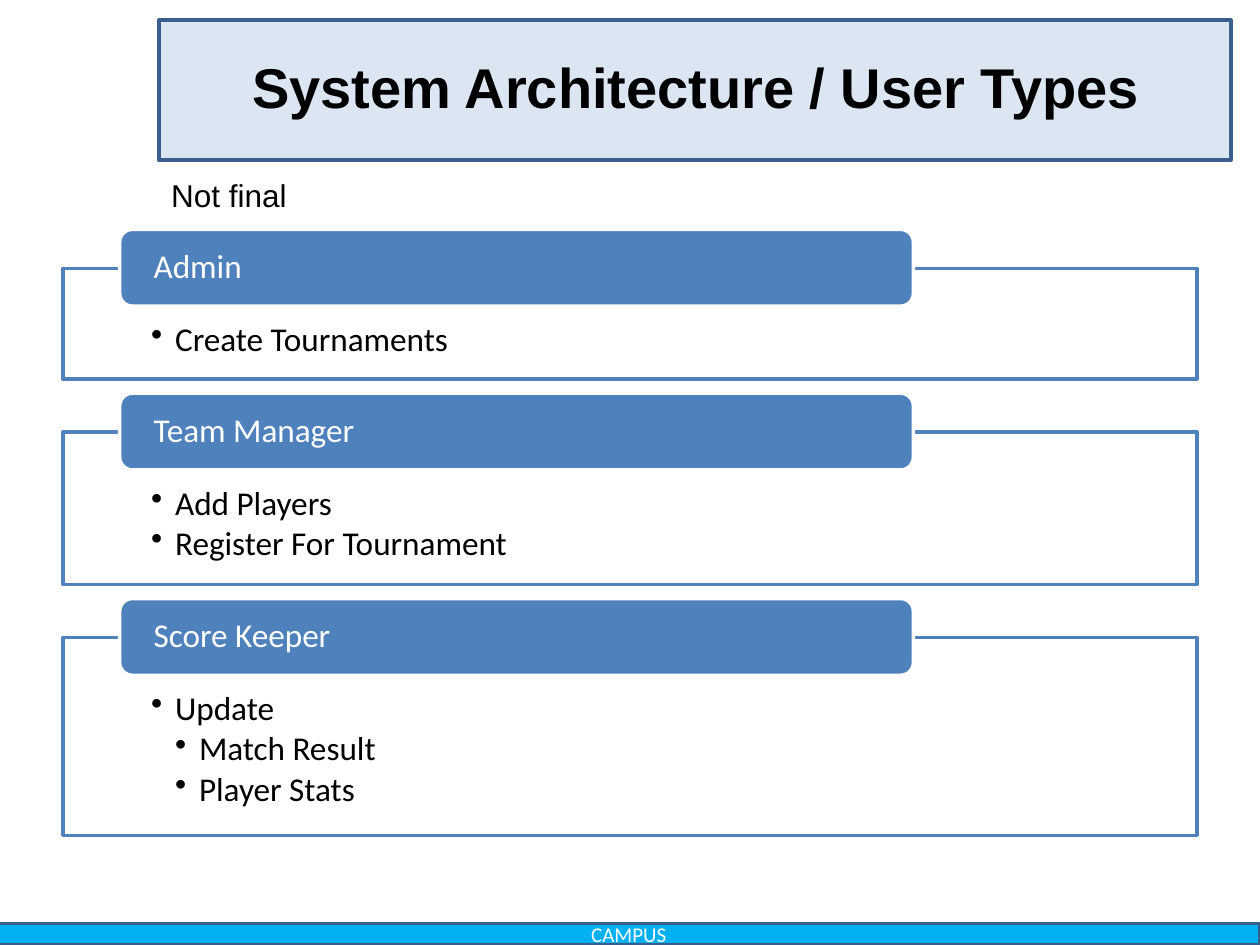
from pptx import Presentation
from pptx.dml.color import RGBColor
from pptx.enum.shapes import MSO_SHAPE as Preset
from pptx.enum.text import MSO_ANCHOR as Anchor, PP_ALIGN as Align
from pptx.oxml.ns import qn
from pptx.util import Inches, Pt
from lxml.etree import SubElement

WHITE = RGBColor(0xFF, 0xFF, 0xFF)
BLACK = RGBColor(0, 0, 0)
BLUE = RGBColor(0x4F, 0x81, 0xBD)
DARK_BLUE = RGBColor(0x3A, 0x5F, 0x8C)
PALE_BLUE = RGBColor(0xDC, 0xE6, 0xF2)
CYAN = RGBColor(0x00, 0xB0, 0xF0)

prs = Presentation()
prs.slide_width, prs.slide_height = Inches(10), Inches(7.5)
slide = prs.slides.add_slide(prs.slide_layouts[5])  # title only


def add_panel(preset, left, top, width, height, fill, line, insets=(0.1, 0.05), anchor=Anchor.MIDDLE):
    panel = slide.shapes.add_shape(preset, *map(Inches, (left, top, width, height)))
    panel.shadow.inherit = False
    panel.fill.solid()
    panel.fill.fore_color.rgb = fill
    panel.line.color.rgb = line
    panel.line.width = Pt(2)
    frame = panel.text_frame
    frame.word_wrap = True
    frame.vertical_anchor = anchor
    frame.margin_left = frame.margin_right = Inches(insets[0])
    frame.margin_top = Inches(insets[1])
    frame.margin_bottom = 0
    return panel


def write(paragraph, text, size, color, face="Calibri", align=Align.LEFT):
    paragraph.text = text
    paragraph.alignment = align
    paragraph.font.size = Pt(size)
    paragraph.font.name = face
    paragraph.font.color.rgb = color


# Title plate and footer band
TITLE_LEFT, TITLE_TOP = 1.26, 0.16
add_panel(Preset.RECTANGLE, TITLE_LEFT, TITLE_TOP, 8.51, 1.11, PALE_BLUE, DARK_BLUE)
footer = add_panel(Preset.RECTANGLE, -0.02, 7.33, 10.02, 0.17, CYAN, DARK_BLUE, insets=(0.1, 0))
write(footer.text_frame.paragraphs[0], "CAMPUS", 12, WHITE, align=Align.CENTER)

# User types: name, box height, duties as (indent step, text)
user_types = [
    ("Admin", 0.88, [(1, "Create Tournaments")]),
    ("Team Manager", 1.21, [(1, "Add Players"), (1, "Register For Tournament")]),
    ("Score Keeper", 1.57, [(1, "Update"), (2, "Match Result"), (2, "Player Stats")]),
]
MARGIN, BOX_WIDTH, BOX_GAP = 0.5, 9, 0.42
TAB_WIDTH, TAB_HEIGHT, TAB_RISE = 0.7 * BOX_WIDTH, 0.61, 0.31
INDENT = 0.19

box_top = 2.13
for user_type, box_height, duties in user_types:
    box = add_panel(Preset.RECTANGLE, MARGIN, box_top, BOX_WIDTH, box_height, WHITE, BLUE,
                    insets=(0.7, 0.43), anchor=Anchor.TOP)
    white_fill = box.fill._xPr.find(qn("a:solidFill"))[0]
    SubElement(white_fill, qn("a:alpha")).set("val", "90000")
    for number, (step, duty) in enumerate(duties):
        frame = box.text_frame
        paragraph = frame.add_paragraph() if number else frame.paragraphs[0]
        write(paragraph, duty, 19, BLACK)
        paragraph.level = step
        paragraph.line_spacing = 0.9
        paragraph.space_after = Pt(2.6)
        # Hanging bullet, placed ahead of the default run properties
        properties = paragraph._p.get_or_add_pPr()
        properties.set("marL", str(Inches(INDENT * step)))
        properties.set("indent", str(Inches(-INDENT)))
        bullet = SubElement(properties, qn("a:buChar"))
        bullet.set("char", "•")
        properties.find(qn("a:defRPr")).addprevious(bullet)

    tab = add_panel(Preset.ROUNDED_RECTANGLE, MARGIN + 0.05 * BOX_WIDTH, box_top - TAB_RISE,
                    TAB_WIDTH, TAB_HEIGHT, BLUE, WHITE, insets=(0.24, 0))
    write(tab.text_frame.paragraphs[0], user_type, 19, WHITE)
    tab.text_frame.paragraphs[0].line_spacing = 0.9
    box_top += box_height + BOX_GAP

# Title, brought in front of its plate
title = slide.shapes.title
title.left, title.top, title.width, title.height = map(Inches, (TITLE_LEFT, TITLE_TOP, 8.53, 1.05))
title.text_frame.vertical_anchor = Anchor.MIDDLE
heading = title.text_frame.paragraphs[0]
write(heading, "System Architecture / User Types", 32, BLACK, "Arial", Align.CENTER)
heading.font.bold = True
slide.shapes._spTree.append(title._element)

# Status note
note = slide.shapes.add_textbox(*map(Inches, (TITLE_LEFT, 1.35, 1.13, 0.4)))
note.text_frame.word_wrap = False
write(note.text_frame.paragraphs[0], "Not final", 18, BLACK, "Arial")

prs.save("out.pptx")
